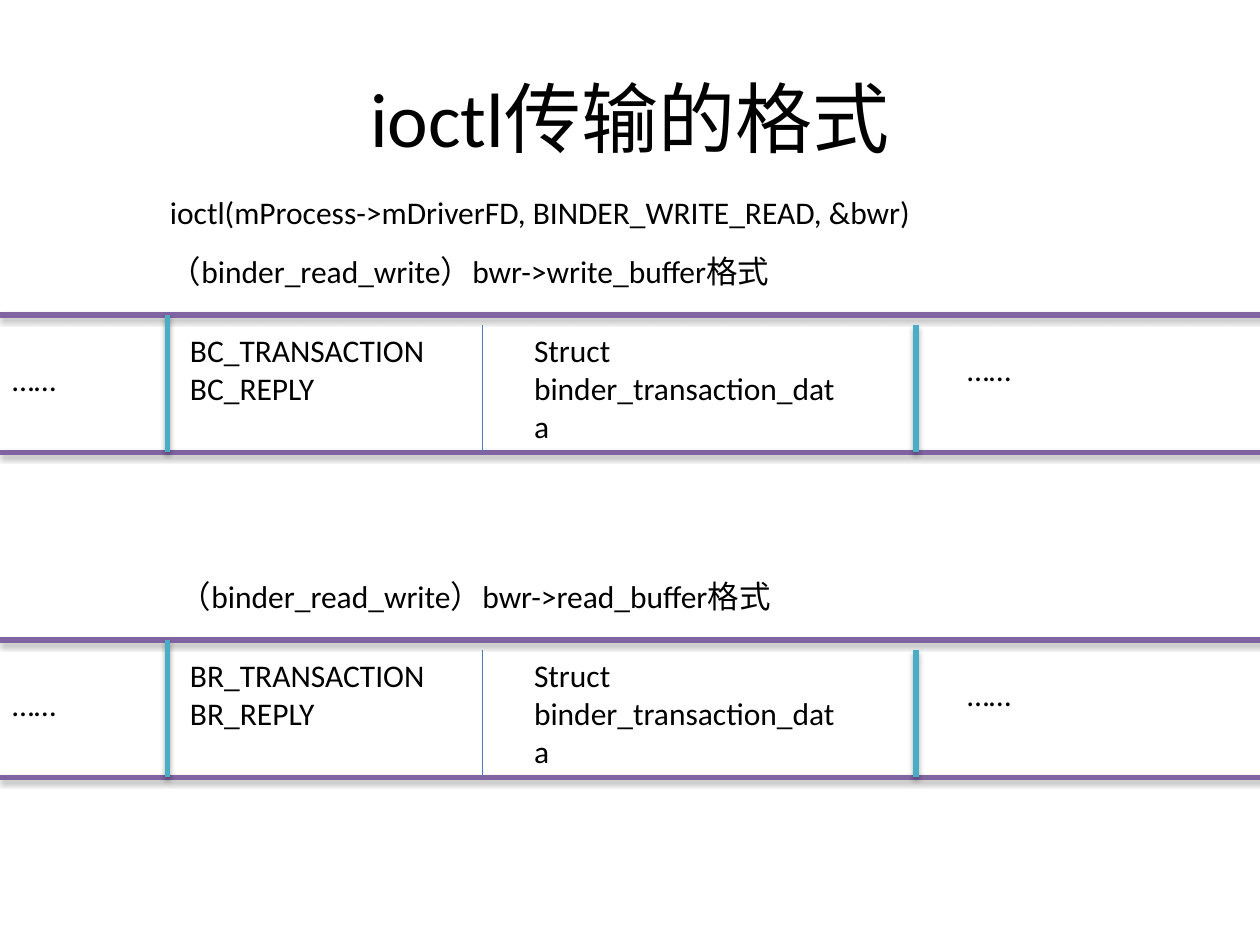
from dataclasses import dataclass

import pptx
import pptx.dml.color
import pptx.enum.shapes
import pptx.enum.text
import pptx.oxml
import pptx.oxml.ns
import pptx.util
from pptx.util import Inches


@dataclass(frozen=True)
class Theme:
    font: str = "Calibri"
    title_size: int = 44
    body_size: int = 18
    text: str = "000000"
    rail: str = "8064A2"
    border: str = "4BACC6"
    divider: str = "4B7EBC"
    thick: float = 3
    thin: float = 0.75


@dataclass(frozen=True)
class Buffer:
    top: float
    caption: str
    caption_left: float
    commands: str


THEME = Theme()
ROW_HEIGHT = 1.09
INSET = 0.08
RAIL_END = 10.31
BUFFERS = [
    Buffer(2.5, "（binder_read_write）bwr->write_buffer格式", 1.25,
           "BC_TRANSACTION\nBC_REPLY"),
    Buffer(5.08, "（binder_read_write）bwr->read_buffer格式", 1.33,
           "BR_TRANSACTION\nBR_REPLY"),
]
SHADOW = (
    '<a:effectLst %s><a:outerShdw blurRad="40000" dist="23000" dir="5400000" '
    'rotWithShape="0"><a:srgbClr val="000000"><a:alpha val="35000"/>'
    '</a:srgbClr></a:outerShdw></a:effectLst>' % pptx.oxml.ns.nsdecls("a")
)
NO_EFFECT = "<a:effectLst %s/>" % pptx.oxml.ns.nsdecls("a")


def fill_text(frame, text: str, size: int) -> None:
    frame.text = text
    for para in frame.paragraphs:
        for span in para.runs:
            span.font.name = THEME.font
            span.font.size = pptx.util.Pt(size)
            span.font.color.rgb = pptx.dml.color.RGBColor.from_string(THEME.text)


def add_text(page, text: str, left: float, top: float,
             width: float, height: float = 0.4) -> None:
    box = page.shapes.add_textbox(Inches(left), Inches(top),
                                  Inches(width), Inches(height))
    box.text_frame.word_wrap = True
    fill_text(box.text_frame, text, THEME.body_size)


def add_line(page, start: tuple[float, float], end: tuple[float, float],
             color: str, weight: float = THEME.thick, shadow: bool = True) -> None:
    line = page.shapes.add_connector(
        pptx.enum.shapes.MSO_CONNECTOR.STRAIGHT,
        Inches(start[0]), Inches(start[1]), Inches(end[0]), Inches(end[1]))
    line.line.color.rgb = pptx.dml.color.RGBColor.from_string(color)
    line.line.width = pptx.util.Pt(weight)
    effect = SHADOW if shadow else NO_EFFECT
    line._element.spPr.append(pptx.oxml.parse_xml(effect))


def add_buffer(page, buffer: Buffer) -> None:
    top, bottom = buffer.top, buffer.top + ROW_HEIGHT
    inner = top + INSET

    # Rails and cell borders
    for y in (top, bottom):
        add_line(page, (0, y), (RAIL_END, y), THEME.rail)
    add_line(page, (1.33, top), (1.33, bottom), THEME.border)
    add_line(page, (7.27, inner), (7.27, bottom), THEME.border)
    add_line(page, (3.83, inner), (3.83, bottom), THEME.divider,
             THEME.thin, shadow=False)

    # Caption and cell contents
    add_text(page, buffer.caption, buffer.caption_left, top - 0.55, 7.42)
    add_text(page, buffer.commands, 1.41, inner, 2.66, 0.71)
    add_text(page, "Struct binder_transaction_data", 4.14, inner, 2.66, 1.01)
    add_text(page, "……", 0, top + 0.31, 1.09)
    add_text(page, "……", 7.58, top + 0.23, 1.09)


deck = pptx.Presentation()
deck.slide_width, deck.slide_height = Inches(10), Inches(7.5)
page = deck.slides.add_slide(deck.slide_layouts[5])

# Title
title = page.shapes.title
title.left, title.top = Inches(0.5), Inches(0.3)
title.width, title.height = Inches(9), Inches(1.25)
fill_text(title.text_frame, "ioctl传输的格式", THEME.title_size)
title.text_frame.vertical_anchor = pptx.enum.text.MSO_ANCHOR.MIDDLE
title.text_frame.paragraphs[0].alignment = pptx.enum.text.PP_ALIGN.CENTER

# Call and its two buffers
add_text(page, "ioctl(mProcess->mDriverFD, BINDER_WRITE_READ, &bwr)",
         1.25, 1.48, 7.42)
for buffer in BUFFERS:
    add_buffer(page, buffer)

deck.save("out.pptx")
